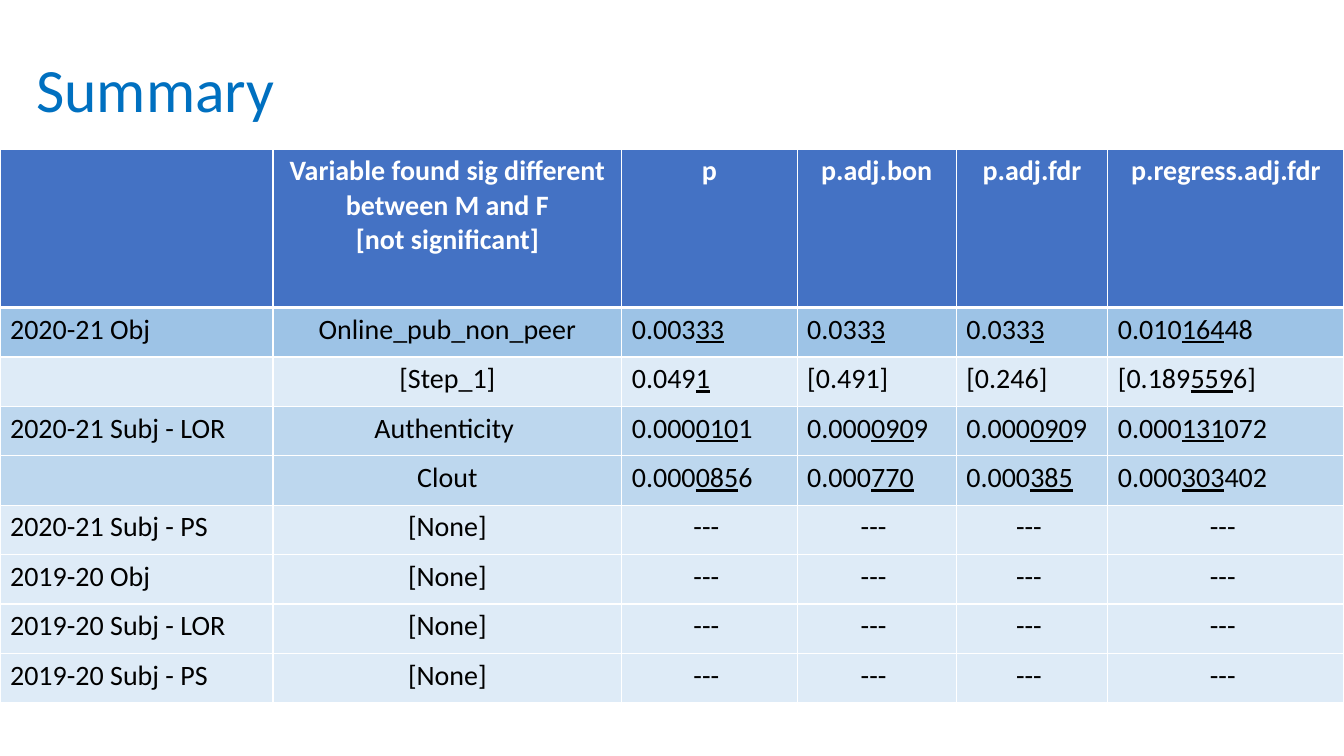
import pptx
import pptx.dml.color
import pptx.enum.text
import pptx.oxml
import pptx.oxml.ns
import pptx.util

Cm, Pt = pptx.util.Cm, pptx.util.Pt
RGB = pptx.dml.color.RGBColor.from_string
ALIGN = pptx.enum.text.PP_ALIGN
COLORS = {
    "title": "0070C0", "header": "4472C4", "strong": "9DC3E6",
    "medium": "BDD7EE", "light": "DEEBF7", "white": "FFFFFF", "text": "000000",
}
HEADER_FONT = {"name": "Calibri", "size": Pt(20), "bold": True}
BODY_FONT = {"name": "Calibri", "size": Pt(20), "bold": False}
TITLE_FONT = {"name": "Calibri", "size": Pt(44), "bold": False}


def style_font(font, values, color):
    for attribute, value in values.items():
        setattr(font, attribute, value)
    font.color.rgb = RGB(COLORS[color])


def add_borders(cell, widths):
    properties = cell._tc.get_or_add_tcPr()
    for position, (side, width) in enumerate(widths.items()):
        properties.insert(position, pptx.oxml.parse_xml(
            f'<a:ln{side} {pptx.oxml.ns.nsdecls("a")} w="{Pt(width)}"><a:solidFill>'
            f'<a:srgbClr val="{COLORS["white"]}"/></a:solidFill></a:ln{side}>'))


presentation = pptx.Presentation()
presentation.slide_width, presentation.slide_height = Cm(33.87), Cm(19.05)
slide = presentation.slides.add_slide(presentation.slide_layouts[5])

# Title
summary = slide.shapes.title
title_box = {"left": Cm(0.66), "top": Cm(1.37), "width": Cm(29.21), "height": Cm(2.41)}
for attribute, value in title_box.items():
    setattr(summary, attribute, value)
summary.text_frame.text = "Summary"
summary.text_frame.auto_size = pptx.enum.text.MSO_AUTO_SIZE.NONE
summary.text_frame.vertical_anchor = pptx.enum.text.MSO_ANCHOR.TOP
heading = summary.text_frame.paragraphs[0]
heading.alignment, heading.line_spacing = ALIGN.LEFT, 0.9
style_font(heading.runs[0].font, TITLE_FONT, "title")

# Table content: fill and cells; digits between bars are underlined
no_result = ["[None]"] + ["--- "] * 4
results = [
    ("header", ["", "Variable found sig different between M and F\n[not significant]",
                "p", "p.adj.bon", "p.adj.fdr", "p.regress.adj.fdr"]),
    ("strong", ["2020-21 Obj", "Online_pub_non_peer", "0.003|33|", "0.033|3|",
                "0.033|3|", "0.010|164|48"]),
    ("light", ["", "[Step_1]", "0.049|1|", "[0.491]", "[0.246]", "[0.189|559|6]"]),
    ("medium", ["2020-21 Subj - LOR", "Authenticity ", "0.000|010|1", "0.000|090|9",
                "0.000|090|9", "0.000|131|072"]),
    ("medium", ["", "Clout", "0.000|085|6", "0.000|770|", "0.000|385|", "0.000|303|402"]),
]
for cohort in ("2020-21 Subj - PS", "2019-20 Obj", "2019-20 Subj - LOR", "2019-20 Subj - PS"):
    results.append(("light", [cohort] + no_result))

# Table grid
column_widths = [6.88, 8.79, 4.42, 4.01, 3.82, 5.95]
header_height, row_height = 3.99, 1.245
summary_table = slide.shapes.add_table(
    len(results), len(column_widths), Cm(0), Cm(3.76), Cm(sum(column_widths)),
    Cm(header_height + row_height * (len(results) - 1))).table
for column, width in zip(summary_table.columns, column_widths):
    column.width = Cm(width)
for row_index, row in enumerate(summary_table.rows):
    row.height = Cm(row_height if row_index else header_height)

# Table cells
for row_index, (fill, values) in enumerate(results):
    is_header = row_index == 0
    for column_index, value in enumerate(values):
        cell = summary_table.cell(row_index, column_index)
        cell.fill.solid()
        cell.fill.fore_color.rgb = RGB(COLORS[fill])
        add_borders(cell, {"L": 1, "R": 1, "T": 3 if row_index == 1 else 1,
                           "B": 3 if is_header else 1})
        centred = is_header or column_index == 1 or value == "--- "
        for line_index, line in enumerate(value.split("\n")):
            frame = cell.text_frame
            paragraph = frame.add_paragraph() if line_index else frame.paragraphs[0]
            paragraph.alignment = ALIGN.CENTER if centred else ALIGN.LEFT
            style_font(paragraph.font, BODY_FONT, "text")
            for part_index, part in enumerate(line.split("|")):
                if part:
                    run = paragraph.add_run()
                    run.text = part
                    style_font(run.font, HEADER_FONT if is_header else BODY_FONT,
                               "white" if is_header else "text")
                    run.font.underline = part_index % 2 == 1

presentation.save("out.pptx")
